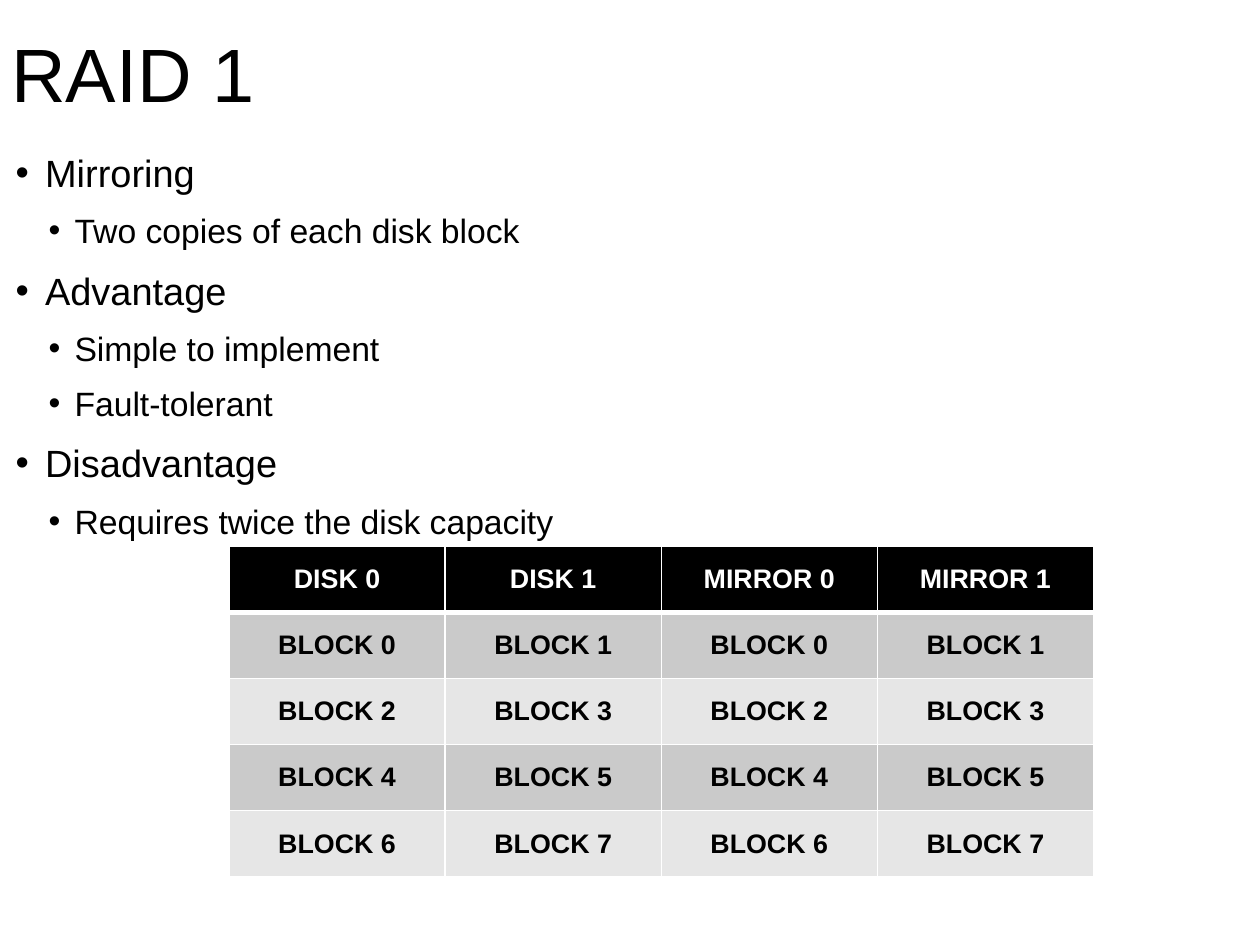
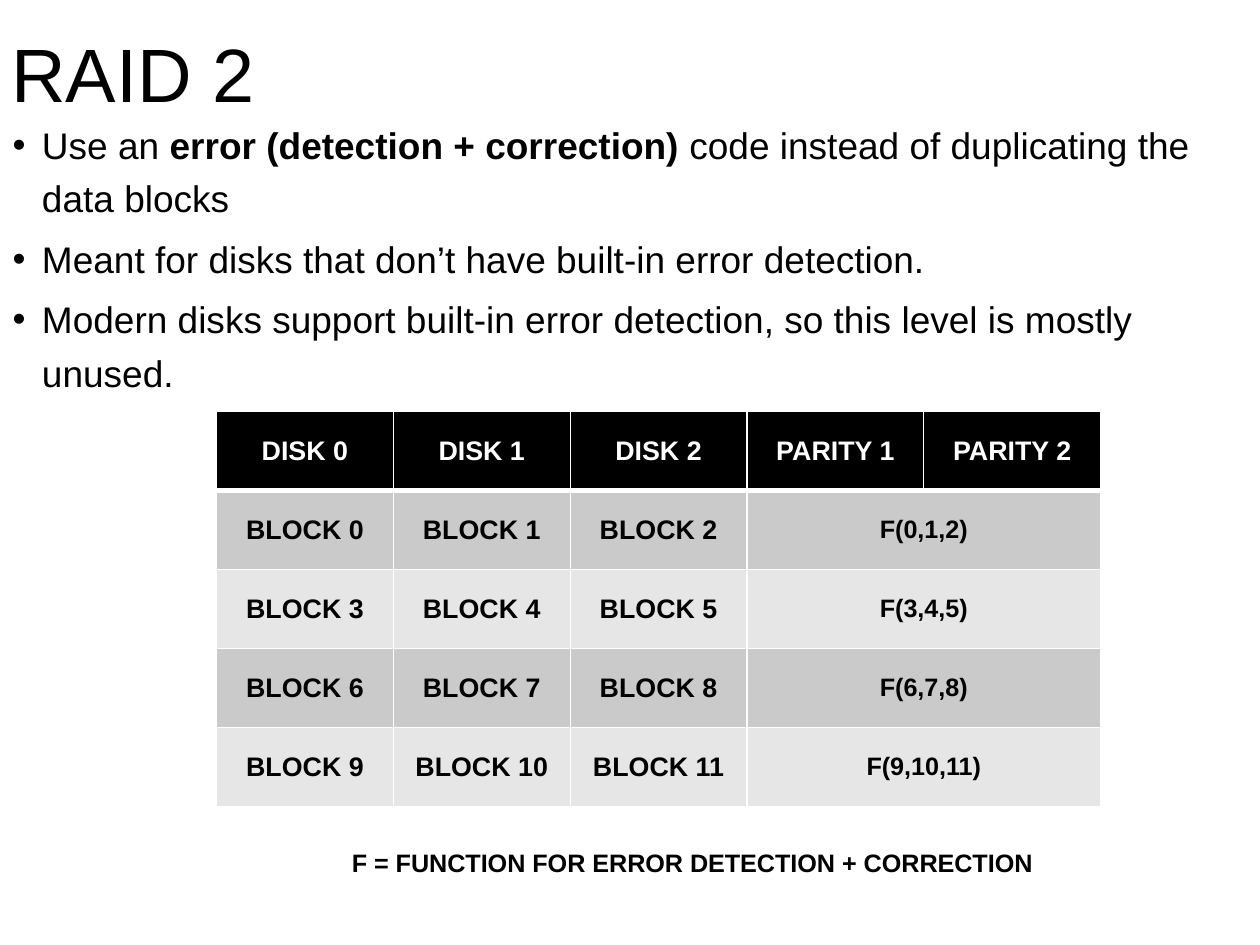
"""Build two slides on RAID levels 1 and 2, each with a list and a disk table."""
from dataclasses import dataclass

import lxml.etree
import pptx
import pptx.dml.color
import pptx.enum.text
import pptx.oxml.ns
import pptx.presentation
import pptx.slide
import pptx.table
import pptx.text.text
import pptx.util

Cm = pptx.util.Cm
Pt = pptx.util.Pt
qn = pptx.oxml.ns.qn


@dataclass(frozen=True)
class Theme:
    font: str = "Arial"
    ink: str = "000000"
    paper: str = "FFFFFF"
    bands: tuple[str, str] = ("CACACA", "E6E6E6")
    title_size: float = 48
    cell_size: float = 17
    formula_size: float = 16
    line_spacing: float = 1.2
    space_ratio: float = 0.2
    inset: float = 0.1
    cell_inset: float = 0.18
    rule: float = 1
    header_rule: float = 3


@dataclass(frozen=True)
class Box:
    left: float
    top: float
    width: float
    height: float


@dataclass(frozen=True)
class Bullet:
    pieces: tuple[str, ...]
    level: int = 0


@dataclass(frozen=True)
class Indent:
    margin: float
    hanging: float


@dataclass(frozen=True)
class DiskTable:
    left: float
    top: float
    column_width: float
    row_height: float
    rows: list[list[str]]


@dataclass(frozen=True)
class RaidLevel:
    title: str
    list_box: Box
    list_sizes: tuple[float, ...]
    bullets: tuple[Bullet, ...]
    disks: DiskTable
    caption: str = ""


THEME = Theme()
TITLE_BOX = Box(0.15, 0.05, 27.05, 2.69)
CAPTION_BOX = Box(7.75, 18.85, 15.6, 0.86)
INDENTS = (Indent(0.66, 0.66), Indent(1.32, 0.58))

RAID_1 = RaidLevel(
    title="RAID 1",
    list_box=Box(0.25, 3.05, 27.71, 8.64),
    list_sizes=(24.1, 21.4),
    bullets=(
        Bullet(("Mirroring",)),
        Bullet(("Two copies of each disk block",), 1),
        Bullet(("Advantage",)),
        Bullet(("Simple to implement",), 1),
        Bullet(("Fault-tolerant",), 1),
        Bullet(("Disadvantage",)),
        Bullet(("Requires twice the disk capacity",), 1),
    ),
    disks=DiskTable(
        5.13, 12.24, 4.84, 1.48,
        [["DISK 0", "DISK 1", "MIRROR 0", "MIRROR 1"]]
        + [[f"BLOCK {n}", f"BLOCK {n + 1}"] * 2 for n in range(0, 8, 2)],
    ),
)

RAID_2 = RaidLevel(
    title="RAID 2",
    list_box=Box(0.18, 2.44, 27.86, 6.02),
    list_sizes=(23.5,),
    bullets=(
        Bullet((
            "Use an ",
            "error (detection + correction)",
            " code instead of duplicating the data blocks",
        )),
        Bullet(("Meant for disks that don’t have built-in error detection.",)),
        Bullet((
            "Modern disks support built-in error detection, so this level is mostly unused.",
        )),
    ),
    disks=DiskTable(
        4.85, 9.22, 3.96, 1.77,
        [["DISK 0", "DISK 1", "DISK 2", "PARITY 1", "PARITY 2"]]
        + [
            [f"BLOCK {n + i}" for i in range(3)] + [f"F({n},{n + 1},{n + 2})"]
            for n in range(0, 12, 3)
        ],
    ),
    caption="F = FUNCTION FOR ERROR DETECTION + CORRECTION",
)


def rgb(code: str) -> pptx.dml.color.RGBColor:
    return pptx.dml.color.RGBColor.from_string(code)


def format_runs(
    paragraph: pptx.text.text._Paragraph, size: float, colour: str, bold: bool = False
) -> None:
    for run in paragraph.runs:
        run.font.name = THEME.font
        run.font.size = Pt(size)
        run.font.bold = bold
        run.font.color.rgb = rgb(colour)


def place(shape, box: Box) -> None:
    shape.left, shape.top = Cm(box.left), Cm(box.top)
    shape.width, shape.height = Cm(box.width), Cm(box.height)


def set_margins(holder, inset: float) -> None:
    holder.margin_left = holder.margin_right = Cm(inset)
    holder.margin_top = holder.margin_bottom = Cm(inset)


def add_title(slide: pptx.slide.Slide, words: str) -> None:
    title = slide.shapes.title
    place(title, TITLE_BOX)
    frame = title.text_frame
    frame.text = words
    set_margins(frame, THEME.inset)
    frame.auto_size = pptx.enum.text.MSO_AUTO_SIZE.NONE
    frame.vertical_anchor = pptx.enum.text.MSO_ANCHOR.BOTTOM
    heading = frame.paragraphs[0]
    heading.alignment = pptx.enum.text.PP_ALIGN.LEFT
    heading.line_spacing = THEME.line_spacing
    format_runs(heading, THEME.title_size, THEME.ink)


def add_bullet_mark(paragraph: pptx.text.text._Paragraph, indent: Indent) -> None:
    properties = paragraph._p.get_or_add_pPr()
    properties.set("marL", str(Cm(indent.margin)))
    properties.set("indent", str(-Cm(indent.hanging)))
    lxml.etree.SubElement(properties, qn("a:buFont")).set("typeface", THEME.font)
    lxml.etree.SubElement(properties, qn("a:buChar")).set("char", "•")


def add_list(slide: pptx.slide.Slide, level: RaidLevel) -> None:
    body = slide.placeholders[1]
    place(body, level.list_box)
    frame = body.text_frame
    set_margins(frame, THEME.inset)
    frame.auto_size = pptx.enum.text.MSO_AUTO_SIZE.NONE
    frame.vertical_anchor = pptx.enum.text.MSO_ANCHOR.TOP
    for position, bullet in enumerate(level.bullets):
        point = frame.add_paragraph() if position else frame.paragraphs[0]
        size = level.list_sizes[bullet.level]
        point.level = bullet.level
        add_bullet_mark(point, INDENTS[bullet.level])
        point.alignment = pptx.enum.text.PP_ALIGN.LEFT
        point.line_spacing = THEME.line_spacing
        point.space_before = Pt(round(size * THEME.space_ratio, 1) if position else 0)
        for piece in bullet.pieces:
            point.add_run().text = piece
        format_runs(point, size, THEME.ink)
        for emphasis in point.runs[1::2]:
            emphasis.font.bold = True


def add_borders(cell: pptx.table._Cell, row: int) -> None:
    top = THEME.header_rule if row == 1 else THEME.rule
    bottom = THEME.header_rule if row == 0 else THEME.rule
    properties = cell._tc.get_or_add_tcPr()
    sides = {"L": THEME.rule, "R": THEME.rule, "T": top, "B": bottom}
    for side, width in sides.items():
        line = lxml.etree.SubElement(properties, qn(f"a:ln{side}"))
        line.set("w", str(Pt(width)))
        fill = lxml.etree.SubElement(line, qn("a:solidFill"))
        lxml.etree.SubElement(fill, qn("a:srgbClr")).set("val", THEME.paper)


def add_disks(slide: pptx.slide.Slide, disks: DiskTable) -> None:
    row_count, column_count = len(disks.rows), len(disks.rows[0])
    grid = slide.shapes.add_table(
        row_count, column_count, Cm(disks.left), Cm(disks.top),
        Cm(disks.column_width * column_count), Cm(disks.row_height * row_count),
    ).table
    for column in grid.columns:
        column.width = Cm(disks.column_width)
    for row, labels in enumerate(disks.rows):
        grid.rows[row].height = Cm(disks.row_height)
        for column in range(column_count):
            cell = grid.cell(row, column)
            add_borders(cell, row)
            cell.fill.solid()
            cell.fill.fore_color.rgb = rgb(THEME.bands[(row - 1) % 2] if row else THEME.ink)
            set_margins(cell, THEME.cell_inset)
            cell.vertical_anchor = pptx.enum.text.MSO_ANCHOR.MIDDLE
        if len(labels) < column_count:
            grid.cell(row, len(labels) - 1).merge(grid.cell(row, column_count - 1))
        for column, label in enumerate(labels):
            frame = grid.cell(row, column).text_frame
            frame.text = label
            entry = frame.paragraphs[0]
            entry.alignment = pptx.enum.text.PP_ALIGN.CENTER
            size = THEME.formula_size if label.startswith("F(") else THEME.cell_size
            format_runs(entry, size, THEME.ink if row else THEME.paper, True)


def add_caption(slide: pptx.slide.Slide, words: str) -> None:
    box = CAPTION_BOX
    caption = slide.shapes.add_textbox(
        Cm(box.left), Cm(box.top), Cm(box.width), Cm(box.height)
    )
    frame = caption.text_frame
    frame.text = words
    frame.word_wrap = False
    set_margins(frame, 0.13)
    format_runs(frame.paragraphs[0], THEME.formula_size, THEME.ink, True)


def add_level(deck: pptx.presentation.Presentation, level: RaidLevel) -> None:
    slide = deck.slides.add_slide(deck.slide_layouts[1])
    add_title(slide, level.title)
    add_list(slide, level)
    add_disks(slide, level.disks)
    if level.caption:
        add_caption(slide, level.caption)


def main() -> None:
    deck = pptx.Presentation()
    deck.slide_width, deck.slide_height = Cm(28.22), Cm(21.17)
    for level in (RAID_1, RAID_2):
        add_level(deck, level)
    deck.save("out.pptx")


if __name__ == "__main__":
    main()
